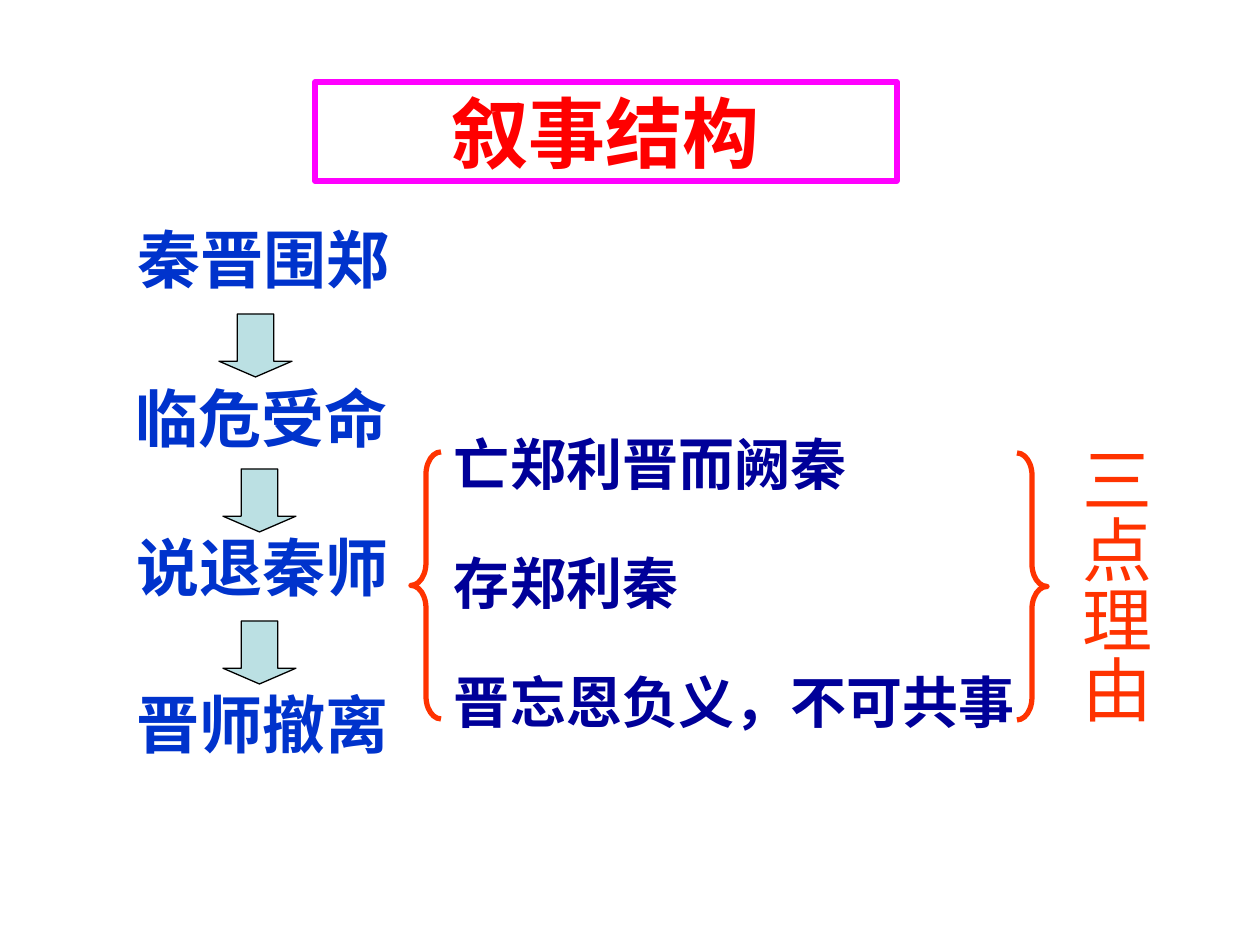
from pptx import Presentation
from pptx.dml.color import RGBColor
from pptx.enum.shapes import MSO_SHAPE
from pptx.enum.text import MSO_ANCHOR, PP_ALIGN
from pptx.util import Pt

RECT = MSO_SHAPE.RECTANGLE
ARROW = MSO_SHAPE.DOWN_ARROW
LEFT, RIGHT = MSO_SHAPE.LEFT_BRACE, MSO_SHAPE.RIGHT_BRACE
MIDDLE, TOP = MSO_ANCHOR.MIDDLE, MSO_ANCHOR.TOP
CENTER, START = PP_ALIGN.CENTER, PP_ALIGN.LEFT

PX = 914400 / 126
COLORS = {"title": "FF0000", "frame": "FF00FF", "step": "0033CC",
          "reason": "000099", "brace": "FF3300", "arrow": "BBE0E3",
          "edge": "000000"}
FONTS = {
    "title": {"size": Pt(44), "bold": True},
    "step": {"size": Pt(36), "bold": True},
    "reason": {"size": Pt(32), "bold": True},
    "brace": {"size": Pt(40), "bold": False},
}


def px(*nums):
    return [round(n * PX) for n in nums]


def color(key):
    return RGBColor.from_string(COLORS[key])


def write(shape, text, key, pads, anchor=TOP, align=START):
    frame = shape.text_frame
    left, top, right, low = px(*pads)
    form = {"word_wrap": True, "vertical_anchor": anchor,
            "margin_left": left, "margin_top": top,
            "margin_right": right, "margin_bottom": low}
    for name, value in form.items():
        setattr(frame, name, value)
    para = frame.paragraphs[0]
    para.alignment = align
    run = para.add_run()
    run.text = text
    for name, value in {"name": "Times New Roman", **FONTS[key]}.items():
        setattr(run.font, name, value)
    run.font.color.rgb = color(key)


def add_text(slide, box, text, key, pads=(13, 6, 13, 6)):
    shape = slide.shapes.add_textbox(*px(*box))
    write(shape, text, key, pads)
    return shape


def add_form(slide, kind, box, line, width, fill=None, adjust=()):
    shape = slide.shapes.add_shape(kind, *px(*box))
    shape.shadow.inherit = False
    if fill:
        shape.fill.solid()
        shape.fill.fore_color.rgb = color(fill)
    else:
        shape.fill.background()
    shape.line.color.rgb = color(line)
    shape.line.width = Pt(width)
    for i, value in enumerate(adjust):
        shape.adjustments[i] = value
    return shape


def main():
    deck = Presentation()
    deck.slide_width, deck.slide_height = px(1260, 945)
    slide = deck.slides.add_slide(deck.slide_layouts[6])

    # Title in its frame
    title = add_form(slide, RECT, (315, 82, 582, 99), "frame", 3)
    write(title, "叙事结构", "title", (0, 0, 0, 0), MIDDLE, CENTER)

    # Steps of the story
    steps = [("秦晋围郑", 125, 215), ("临危受命", 123, 374),
             ("说退秦师", 124, 523), ("晋师撤离", 124, 680)]
    for text, x, y in steps:
        add_text(slide, (x, y, 340, 88), text, "step")

    # Arrows from step to step
    for x, y in [(219, 314), (223, 469), (223, 621)]:
        add_form(slide, ARROW, (x, y, 73, 63), "edge", 0.75, "arrow",
                 (0.5, 0.25))

    # Reasons at an equal pitch
    reasons = ["亡郑利晋而阙秦", "存郑利秦", "晋忘恩负义，不可共事"]
    for i, text in enumerate(reasons):
        add_text(slide, (441, 423 + 119 * i, 609, 81), text, "reason")

    # Braces and their vertical label
    for kind, x, y in [(LEFT, 411, 452), (RIGHT, 1017, 453)]:
        add_form(slide, kind, (x, y, 30, 267), "brace", 3,
                 adjust=(0.75, 0.5))
    label = add_text(slide, (1055, 432, 108, 348), "三点理由", "brace",
                     (6, 13, 6, 13))
    label.text_frame._txBody.bodyPr.set("vert", "eaVert")

    deck.save("out.pptx")


if __name__ == "__main__":
    main()
